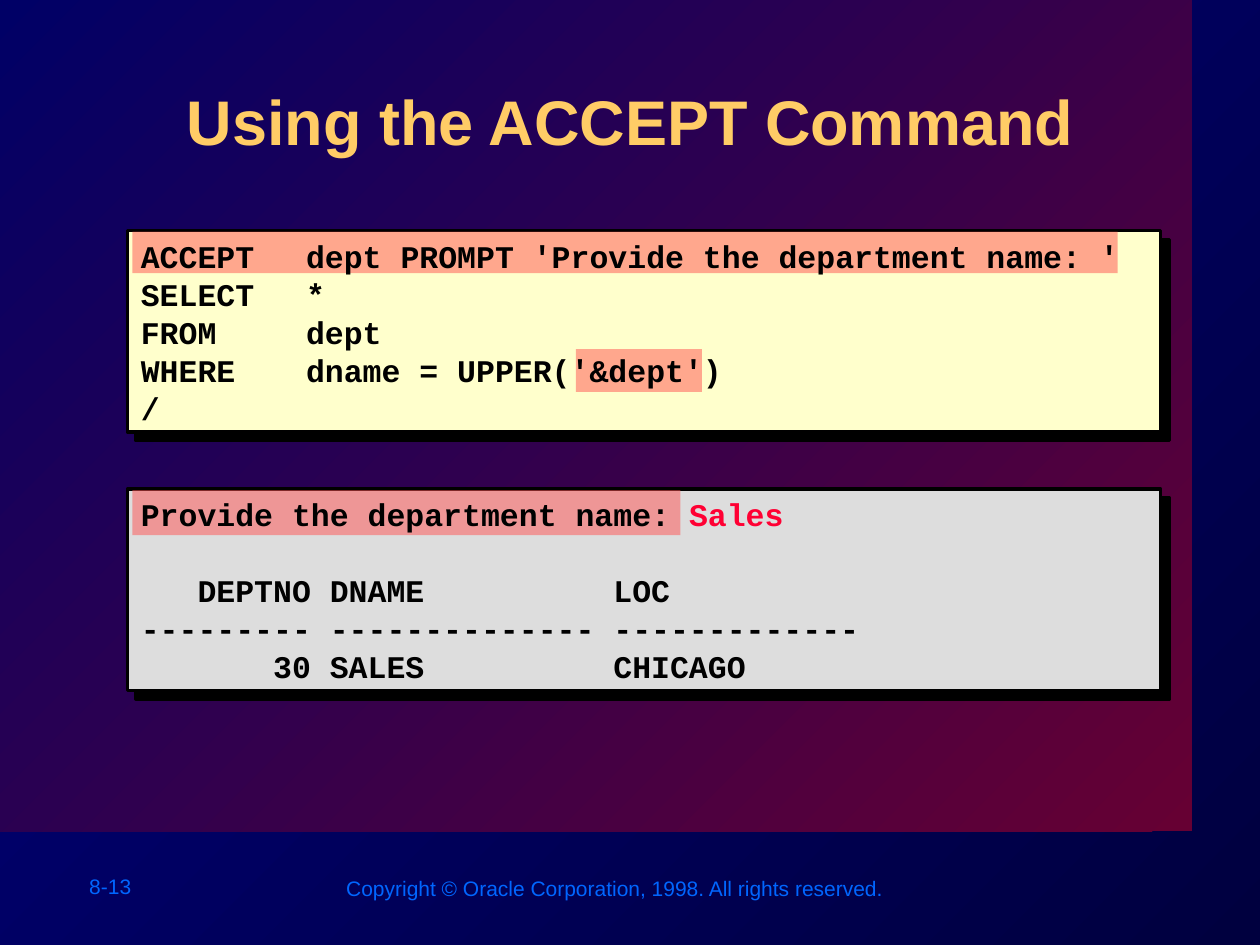
from dataclasses import dataclass
from typing import NamedTuple

from lxml.etree import SubElement
from pptx import Presentation
from pptx.dml.color import RGBColor
from pptx.enum.shapes import MSO_SHAPE as Preset
from pptx.enum.text import MSO_ANCHOR as Anchor, MSO_AUTO_SIZE as AutoSize, PP_ALIGN as Align
from pptx.oxml.ns import qn
from pptx.util import Cm, Pt

COLORS = {
    "black": "000000",
    "night": "00003F",
    "navy": "000080",
    "indigo": "000066",
    "wine": "660033",
    "footer": "0066FF",
    "title": "FFCC66",
    "query": "FFFFCC",
    "result": "DDDDDD",
    "highlight": "FF5050",
    "answer": "FF0033",
}
TITLE_FONT = {"name": "Arial", "size": Pt(36), "bold": True}
FOOTER_FONT = {"name": "Arial", "size": Pt(12), "bold": False}
CODE_FONT = {"name": "Courier New", "size": Pt(18), "bold": True}
TITLE_FRAME = {"word_wrap": True, "auto_size": AutoSize.NONE,
               "vertical_anchor": Anchor.TOP, "margin_top": Cm(0.25)}
FOOTER_FRAME = {"word_wrap": True, "vertical_anchor": Anchor.TOP}
CODE_FRAME = {"word_wrap": True, "vertical_anchor": Anchor.MIDDLE}
CODE_LINE = Pt(21.7)
CODE_TAB = Cm(3.33)


class Box(NamedTuple):
    left: float
    top: float
    width: float
    height: float

    def lengths(self) -> list:
        return [Cm(value) for value in self]


class Span(NamedTuple):
    text: str
    color: str = "black"


@dataclass
class Line:
    spans: list[Span]
    gap_after: int = 0


@dataclass
class Panel:
    top: float
    fill: str
    lines: list[Line]


@dataclass
class Footer:
    box: Box
    text: str


PANELS = [
    Panel(4.65, "query", [
        Line([Span("ACCEPT \tdept PROMPT 'Provide the department name: '")]),
        Line([Span("SELECT \t*")]),
        Line([Span("FROM   \tdept")]),
        Line([Span("WHERE  \tdname = UPPER('&dept')")]),
        Line([Span("/")]),
    ]),
    Panel(9.86, "result", [
        Line([Span("Provide the department name: "), Span("Sales", "answer")], CODE_LINE),
        Line([Span("   DEPTNO DNAME          LOC")]),
        Line([Span("--------- -------------- -------------")]),
        Line([Span("       30 SALES          CHICAGO")]),
    ]),
]
HIGHLIGHTS = [
    Box(11.61, 7.04, 2.54, 0.86),
    Box(2.67, 4.67, 19.86, 0.84),
    Box(2.67, 9.88, 11.05, 0.91),
]
FOOTERS = [
    Footer(Box(1.55, 17.48, 2.82, 0.76), "8-13"),
    Footer(Box(6.73, 17.53, 12, 0.76),
           "Copyright © Oracle Corporation, 1998. All rights reserved."),
]


def rgb(color: str) -> RGBColor:
    return RGBColor.from_string(COLORS[color])


def apply(target, values: dict) -> None:
    for name, value in values.items():
        setattr(target, name, value)


def set_gradient(fill, colors: tuple[str, str]) -> None:
    fill.gradient()
    fill.gradient_angle = 135
    for stop, color in zip(fill.gradient_stops, colors):
        stop.color.rgb = rgb(color)


def add_shadow(properties, distance: int) -> None:
    for effects in properties.findall(qn("a:effectLst")):
        properties.remove(effects)
    effects = SubElement(properties, qn("a:effectLst"))
    shadow = SubElement(effects, qn("a:outerShdw"), dist=str(distance),
                        dir="2700000", algn="ctr", rotWithShape="0")
    SubElement(shadow, qn("a:srgbClr"), val=COLORS["black"])


def add_rectangle(slide, box: Box):
    shape = slide.shapes.add_shape(Preset.RECTANGLE, *box.lengths())
    shape.shadow.inherit = False
    shape.line.fill.background()
    return shape


def add_run(paragraph, span: Span, font: dict):
    run = paragraph.add_run()
    run.text = span.text
    apply(run.font, font)
    run.font.color.rgb = rgb(span.color)
    return run


def add_panel(slide, panel: Panel) -> None:
    shape = add_rectangle(slide, Box(2.57, panel.top, 20.83, 4.06))
    shape.fill.solid()
    shape.fill.fore_color.rgb = rgb(panel.fill)
    shape.line.color.rgb = rgb("black")
    shape.line.width = Pt(2)
    add_shadow(shape.element.spPr, Pt(7.1))


def add_highlight(slide, box: Box) -> None:
    shape = add_rectangle(slide, box)
    shape.fill.solid()
    shape.fill.fore_color.rgb = rgb("highlight")
    color = shape.element.spPr.find(qn("a:solidFill"))[0]
    SubElement(color, qn("a:alpha"), val="50000")


def add_code(slide, panel: Panel) -> None:
    box = Box(2.59, panel.top - 0.03, 20.83, 4.14)
    frame = slide.shapes.add_textbox(*box.lengths()).text_frame
    apply(frame, CODE_FRAME)
    for index, line in enumerate(panel.lines):
        paragraph = frame.add_paragraph() if index else frame.paragraphs[0]
        apply(paragraph, {"line_spacing": CODE_LINE, "space_after": line.gap_after})
        tabs = SubElement(paragraph._p.get_or_add_pPr(), qn("a:tabLst"))
        SubElement(tabs, qn("a:tab"), pos=str(CODE_TAB), algn="l")
        for span in line.spans:
            add_run(paragraph, span, CODE_FONT)


def add_footer(slide, footer: Footer) -> None:
    frame = slide.shapes.add_textbox(*footer.box.lengths()).text_frame
    apply(frame, FOOTER_FRAME)
    add_run(frame.paragraphs[0], Span(footer.text, "footer"), FOOTER_FONT)


def set_title(slide, text: str) -> None:
    title = slide.shapes.title
    box = Box(2.57, 1.42, 20.27, 2.44)
    apply(title, dict(zip(("left", "top", "width", "height"), box.lengths())))
    apply(title.text_frame, TITLE_FRAME)
    paragraph = title.text_frame.paragraphs[0]
    paragraph.alignment = Align.CENTER
    run = add_run(paragraph, Span(text, "title"), TITLE_FONT)
    latin = run._r.rPr.find(qn("a:latin"))
    add_shadow(run._r.rPr, Pt(3))
    run._r.rPr.append(latin)


def main() -> None:
    presentation = Presentation()
    presentation.slide_width, presentation.slide_height = Cm(25.4), Cm(19.05)
    slide = presentation.slides.add_slide(presentation.slide_layouts[5])
    set_gradient(slide.background.fill, ("night", "navy"))
    set_gradient(add_rectangle(slide, Box(0, 0, 24.03, 16.76)).fill, ("wine", "indigo"))
    for footer in FOOTERS:
        add_footer(slide, footer)
    for panel in PANELS:
        add_panel(slide, panel)
    set_title(slide, "Using the ACCEPT Command")
    slide.shapes._spTree.append(slide.shapes.title.element)
    for box in HIGHLIGHTS:
        add_highlight(slide, box)
    for panel in PANELS:
        add_code(slide, panel)
    presentation.save("out.pptx")


if __name__ == "__main__":
    main()
